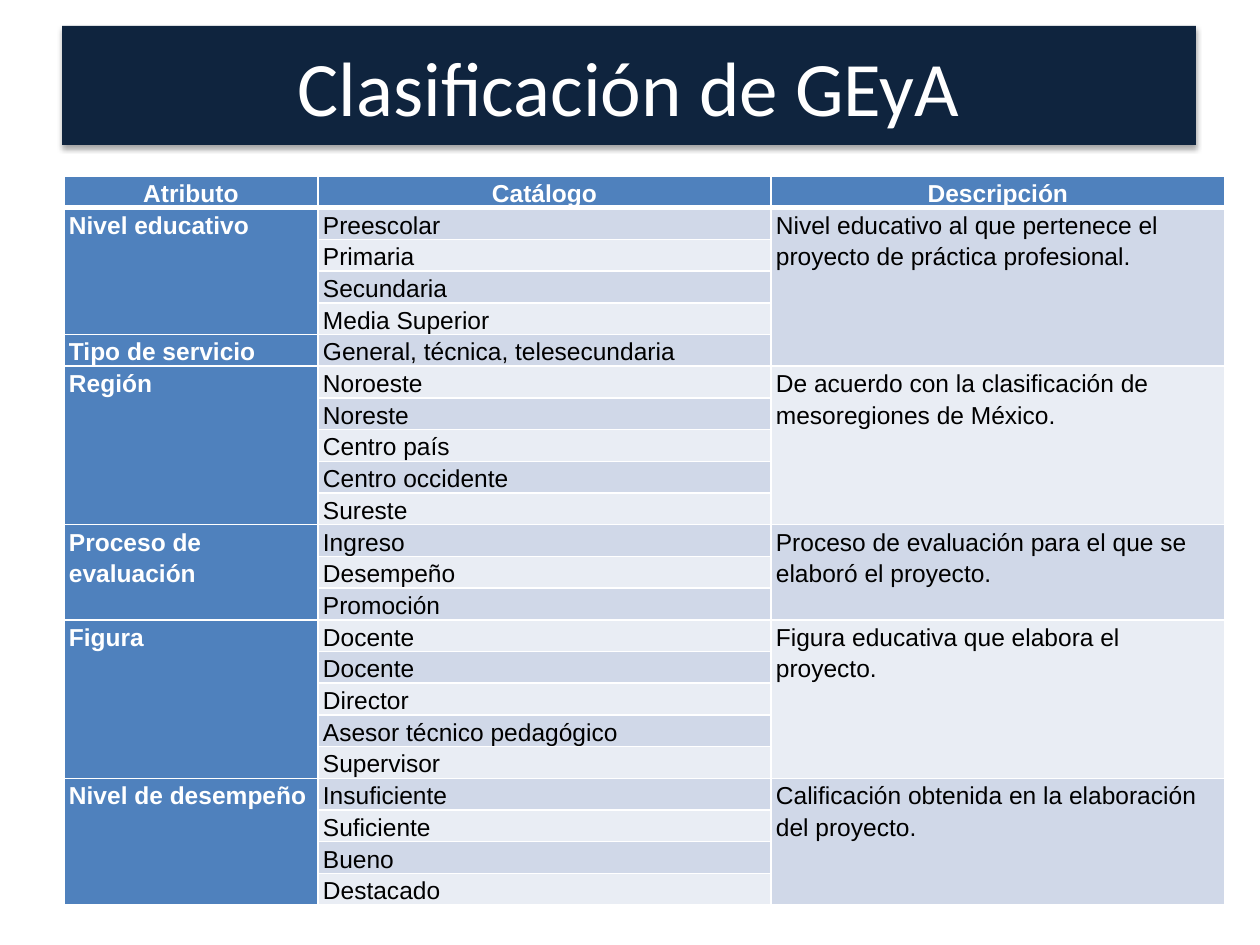
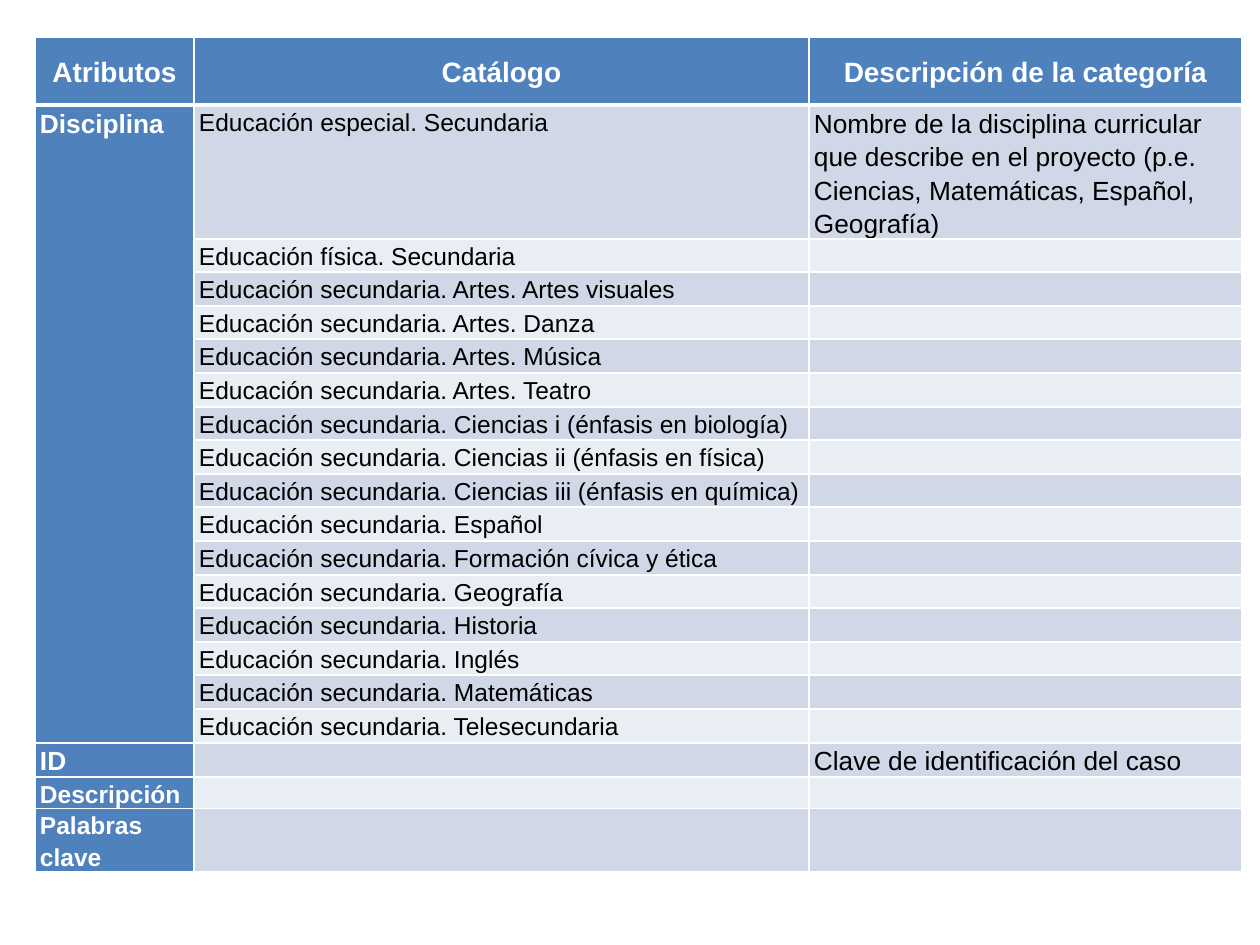
from lxml.etree import SubElement
from pptx import Presentation
from pptx.dml.color import RGBColor
from pptx.enum.text import MSO_ANCHOR, PP_ALIGN
from pptx.oxml.ns import qn
from pptx.util import Pt

PX = 914400 // 126
NAVY = RGBColor(0x0F, 0x24, 0x3E)
BLUE = RGBColor(0x4F, 0x81, 0xBD)
BAND_DARK = RGBColor(0xD0, 0xD8, 0xE8)
BAND_LIGHT = RGBColor(0xE9, 0xED, 0xF4)
WHITE = RGBColor(0xFF, 0xFF, 0xFF)
BLACK = RGBColor(0x00, 0x00, 0x00)

GEYA_HEADERS = ["Atributo", "Catálogo", "Descripción"]
GEYA_ATTRIBUTES = [
    ("Nivel educativo", 4, 14),
    ("Tipo de servicio", 1, 14),
    ("Región", 5, 14),
    ("Proceso de evaluación", 3, 14),
    ("Figura", 5, 14),
    ("Nivel de desempeño", 4, 14),
]
GEYA_CATALOG = [
    "Preescolar", "Primaria", "Secundaria", "Media Superior",
    "General, técnica, telesecundaria",
    "Noroeste", "Noreste", "Centro país", "Centro occidente", "Sureste",
    "Ingreso", "Desempeño", "Promoción",
    "Docente", "Docente", "Director", "Asesor técnico pedagógico", "Supervisor",
    "Insuficiente", "Suficiente", "Bueno", "Destacado",
]
GEYA_DESCRIPTIONS = [
    ("Nivel educativo al que pertenece el proyecto de práctica profesional.", 5, 14),
    ("De acuerdo con la clasificación de mesoregiones de México.", 5, 14),
    ("Proceso de evaluación para el que se elaboró el proyecto.", 3, 14),
    ("Figura educativa que elabora el proyecto.", 5, 14),
    ("Calificación obtenida en la elaboración del proyecto.", 4, 14),
]

SUBJECT_HEADERS = ["Atributos", "Catálogo", "Descripción de la categoría"]
SUBJECT_ATTRIBUTES = [
    ("Disciplina", 16, 15),
    ("ID", 1, 15),
    ("Descripción", 1, 14),
    ("Palabras clave", 1, 14),
]
SECONDARY_SUBJECTS = [
    "Artes. Artes visuales", "Artes. Danza", "Artes. Música", "Artes. Teatro",
    "Ciencias i (énfasis en biología)", "Ciencias ii (énfasis en física)",
    "Ciencias iii (énfasis en química)", "Español", "Formación cívica y ética",
    "Geografía", "Historia", "Inglés", "Matemáticas", "Telesecundaria",
]
SUBJECT_CATALOG = [
    "Educación especial. Secundaria",
    "Educación física. Secundaria",
    *[f"Educación secundaria. {subject}" for subject in SECONDARY_SUBJECTS],
]
SUBJECT_DESCRIPTIONS = {
    1: "Nombre de la disciplina curricular que describe en el proyecto "
       "(p.e. Ciencias, Matemáticas, Español, Geografía)",
    17: "Clave de identificación del caso",
}


def px(n):
    """Convert pixels to EMU."""
    return n * PX


def split(total, n):
    """Divide a length into n nearly equal whole parts."""
    return [total * (i + 1) // n - total * i // n for i in range(n)]


def set_borders(cell, top, bottom):
    """Draw white cell borders, with the given top and bottom widths in points."""
    tcPr = cell._tc.get_or_add_tcPr()
    for tag, width in (("a:lnL", 1), ("a:lnR", 1), ("a:lnT", top), ("a:lnB", bottom)):
        ln = SubElement(tcPr, qn(tag), w=str(Pt(width)))
        fill = SubElement(ln, qn("a:solidFill"))
        SubElement(fill, qn("a:srgbClr"), val=str(WHITE))


def write_cell(cell, text, size, color, bold=False, align=PP_ALIGN.LEFT):
    """Write one run of text in a cell."""
    p = cell.text_frame.paragraphs[0]
    p.alignment = align
    p.line_spacing = 1.15
    if not text:
        SubElement(p._p, qn("a:endParaRPr"), sz=str(size * 100))
        return
    r = p.add_run()
    r.text = text
    r.font.name = "Arial"
    r.font.size = Pt(size)
    r.font.bold = bold
    r.font.color.rgb = color


def add_catalog(slide, left, top, widths, heights, headers, header_size, columns):
    """Add a table whose columns list (text, row span, size) under each header."""
    gf = slide.shapes.add_table(len(heights), len(widths), px(left), px(top),
                                px(sum(widths)), px(sum(heights)))
    table = gf.table
    for col, width in zip(table.columns, widths):
        col.width = px(width)
    for row, height in zip(table.rows, heights):
        row.height = px(height)
    for i in range(len(heights)):
        for j in range(len(widths)):
            cell = table.cell(i, j)
            cell.margin_left = cell.margin_right = px(5)
            cell.margin_top = cell.margin_bottom = 0
            set_borders(cell, 3 if i == 1 else 1, 3 if i == 0 else 1)
            cell.fill.solid()
            band = BAND_DARK if i % 2 else BAND_LIGHT
            cell.fill.fore_color.rgb = BLUE if i == 0 or j == 0 else band
    for j, (header, entries) in enumerate(zip(headers, columns)):
        write_cell(table.cell(0, j), header, header_size, WHITE, True, PP_ALIGN.CENTER)
        i = 1
        for text, span, size in entries:
            cell = table.cell(i, j)
            if span > 1:
                cell.merge(table.cell(i + span - 1, j))
            write_cell(cell, text, size, BLACK if j else WHITE, j == 0)
            i += span
    return table


def format_title(sp, left, top, width, height, text):
    """Turn the title placeholder into a navy band with a soft shadow."""
    sp.left, sp.top, sp.width, sp.height = map(px, (left, top, width, height))
    sp.fill.solid()
    sp.fill.fore_color.rgb = NAVY
    sp.line.fill.background()
    effects = SubElement(sp._element.spPr, qn("a:effectLst"))
    shadow = SubElement(effects, qn("a:outerShdw"), blurRad="40000", dist="23000",
                        dir="5400000", rotWithShape="0")
    color = SubElement(shadow, qn("a:srgbClr"), val=str(BLACK))
    SubElement(color, qn("a:alpha"), val="35000")
    tf = sp.text_frame
    tf.vertical_anchor = MSO_ANCHOR.MIDDLE
    p = tf.paragraphs[0]
    p.alignment = PP_ALIGN.CENTER
    r = p.add_run()
    r.text = text
    r.font.name = "Calibri"
    r.font.size = Pt(44)
    r.font.color.rgb = WHITE


def add_geya_slide(prs):
    """Build the slide that classifies GEyA."""
    slide = prs.slides.add_slide(prs.slide_layouts[5])
    format_title(slide.shapes.title, 62, 26, 1134, 119, "Clasificación de GEyA")
    catalog = [(text, 1, 14) for text in GEYA_CATALOG]
    add_catalog(slide, 64, 176, [254, 453, 454], [31] * (len(catalog) + 1),
                GEYA_HEADERS, 14, [GEYA_ATTRIBUTES, catalog, GEYA_DESCRIPTIONS])


def add_subject_slide(prs):
    """Build the slide that lists subjects and case identifiers."""
    slide = prs.slides.add_slide(prs.slide_layouts[6])
    heights = [68, 134, *split(504, 15), 34, 31, 63]
    catalog = [(text, 1, 14) for text in SUBJECT_CATALOG + [""] * 3]
    descriptions = [(SUBJECT_DESCRIPTIONS.get(i, ""), 1, 15 if i in SUBJECT_DESCRIPTIONS else 14)
                    for i in range(1, len(heights))]
    table = add_catalog(slide, 35, 37, [159, 615, 433], heights, SUBJECT_HEADERS, 16,
                        [SUBJECT_ATTRIBUTES, catalog, descriptions])
    for cell in table.rows[0].cells:
        cell.vertical_anchor = MSO_ANCHOR.MIDDLE


def main():
    """Build and save the presentation."""
    prs = Presentation()
    prs.slide_width, prs.slide_height = px(1260), px(945)
    add_geya_slide(prs)
    add_subject_slide(prs)
    prs.save("out.pptx")


if __name__ == "__main__":
    main()
